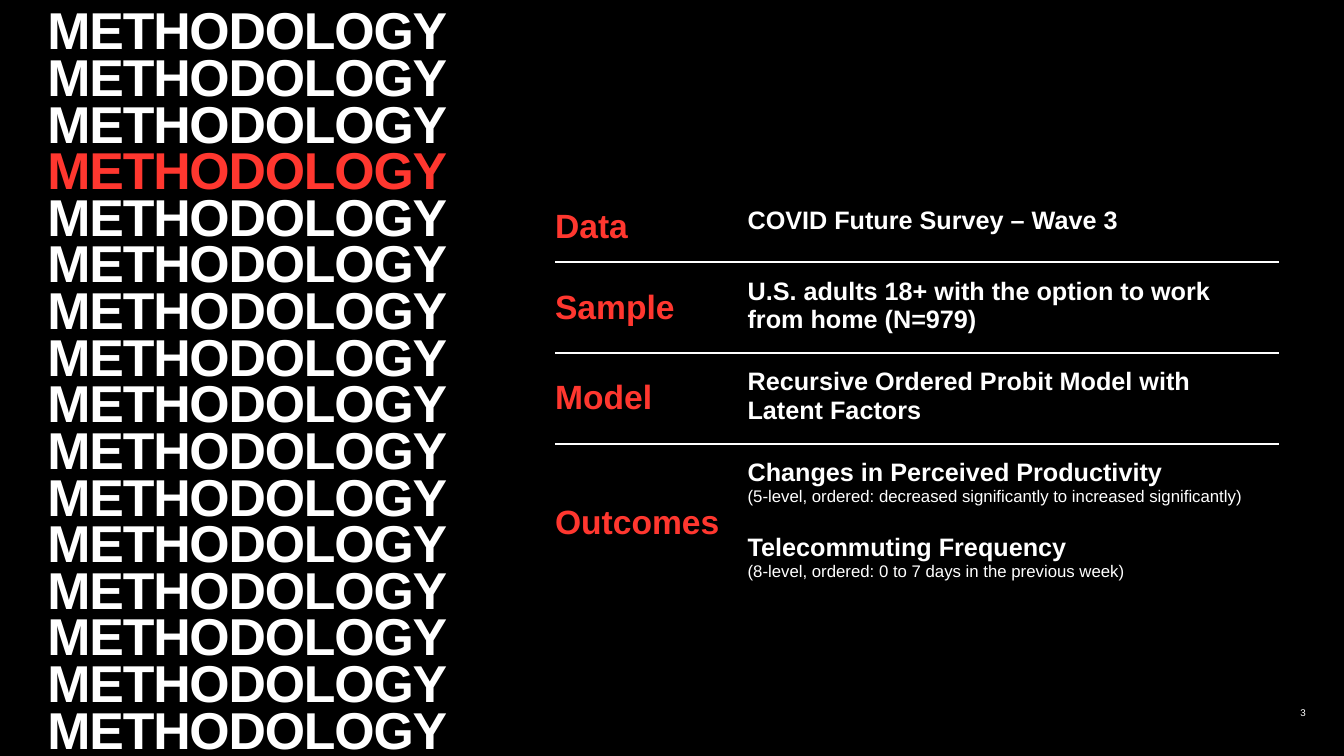
import pptx
import pptx.util
import pptx.dml.color
import pptx.enum.text
import pptx.oxml
import pptx.oxml.ns

Inches = pptx.util.Inches
Pt = pptx.util.Pt
RGBColor = pptx.dml.color.RGBColor
ANCHOR = pptx.enum.text.MSO_ANCHOR
ALIGN = pptx.enum.text.PP_ALIGN

BLACK = RGBColor(0x00, 0x00, 0x00)
WHITE = RGBColor(0xFF, 0xFF, 0xFF)
RED = RGBColor(0xFF, 0x37, 0x2F)
FONT = "Arial"
NO_GRID_STYLE = "{2D5ABB26-0587-4C30-8999-92F81FD0307C}"

TITLE_WORD = "METHODOLOGY"
TITLE_LINES = 16
RED_LINE = 3
COLUMN_WIDTHS = [1.91, 5.27]
ROW_HEIGHT = 0.56
TABLE_HEIGHT = 4.1
METHOD_ROWS = [
    ("Data", [("COVID Future Survey – Wave 3", None)]),
    ("Sample", [("U.S. adults 18+ with the option to work from home (N=979)", None)]),
    ("Model", [("Recursive Ordered Probit Model with Latent Factors", None)]),
    ("Outcomes", [
        ("Changes in Perceived Productivity",
         "(5-level, ordered: decreased significantly to increased significantly)"),
        ("Telecommuting Frequency",
         "(8-level, ordered: 0 to 7 days in the previous week)"),
    ]),
]


def write_text(frame, text, size, color=WHITE, bold=True, align=ALIGN.LEFT,
               before=0, line_spacing=1.0, tracking=None):
    paragraph = frame.paragraphs[0]
    if paragraph.runs:
        paragraph = frame.add_paragraph()
    paragraph.alignment = align
    paragraph.line_spacing = line_spacing
    paragraph.space_before = Pt(before)
    run = paragraph.add_run()
    run.text = text
    run.font.name = FONT
    run.font.size = Pt(size)
    run.font.bold = bold
    run.font.color.rgb = color
    if tracking is not None:
        run.font._element.set("spc", str(tracking))


def add_title_tower(slide):
    title = slide.shapes.title
    title.left, title.top = Inches(0.37), Inches(-0.19)
    title.width, title.height = Inches(4.19), Inches(8.03)
    frame = title.text_frame
    frame.word_wrap = True
    frame.auto_size = pptx.enum.text.MSO_AUTO_SIZE.NONE
    frame.vertical_anchor = ANCHOR.MIDDLE
    for line in range(TITLE_LINES):
        write_text(frame, TITLE_WORD, 37, color=RED if line == RED_LINE else WHITE,
                   line_spacing=0.75, tracking=-80)


def add_bottom_border(cell):
    namespace = pptx.oxml.ns.nsdecls("a")
    border = pptx.oxml.parse_xml(
        f'<a:lnB {namespace} w="{Pt(1.5)}"><a:solidFill>'
        f'<a:srgbClr val="{WHITE}"/></a:solidFill></a:lnB>')
    cell._tc.get_or_add_tcPr().insert(0, border)


def format_cell(cell, has_rule):
    cell.fill.background()
    cell.margin_left = 0
    cell.margin_top = cell.margin_right = cell.margin_bottom = Inches(0.15)
    if has_rule:
        add_bottom_border(cell)


def add_method_table(slide):
    table_shape = slide.shapes.add_table(
        len(METHOD_ROWS), len(COLUMN_WIDTHS), Inches(5.505), Inches(1.9),
        Inches(sum(COLUMN_WIDTHS)), Inches(TABLE_HEIGHT))
    table = table_shape.table
    table.first_row = False
    table.horz_banding = False
    table._tbl.tblPr.find(pptx.oxml.ns.qn("a:tableStyleId")).text = NO_GRID_STYLE
    for column, width in zip(table.columns, COLUMN_WIDTHS):
        column.width = Inches(width)
    for index, (label, entries) in enumerate(METHOD_ROWS):
        table.rows[index].height = Inches(ROW_HEIGHT)
        label_cell, detail_cell = table.cell(index, 0), table.cell(index, 1)
        for cell in (label_cell, detail_cell):
            format_cell(cell, has_rule=index < len(METHOD_ROWS) - 1)
        label_cell.vertical_anchor = ANCHOR.MIDDLE
        write_text(label_cell.text_frame, label, 24, color=RED)
        for position, (heading, note) in enumerate(entries):
            write_text(detail_cell.text_frame, heading, 18,
                       before=20 if position else 0)
            if note:
                write_text(detail_cell.text_frame, note, 12, bold=False)
    table_shape.height = Inches(TABLE_HEIGHT)


def add_slide_number(slide):
    box = slide.shapes.add_textbox(Inches(12.25), Inches(7.01), Inches(0.7), Inches(0.12))
    frame = box.text_frame
    frame.word_wrap = True
    frame.margin_left = frame.margin_top = frame.margin_right = frame.margin_bottom = 0
    frame.vertical_anchor = ANCHOR.BOTTOM
    write_text(frame, "3", 7, bold=False, align=ALIGN.RIGHT)


def main():
    presentation = pptx.Presentation()
    presentation.slide_width = Inches(13.33)
    presentation.slide_height = Inches(7.5)
    slide = presentation.slides.add_slide(presentation.slide_layouts[5])
    slide.background.fill.solid()
    slide.background.fill.fore_color.rgb = BLACK
    add_slide_number(slide)
    add_title_tower(slide)
    add_method_table(slide)
    presentation.save("out.pptx")


if __name__ == "__main__":
    main()
